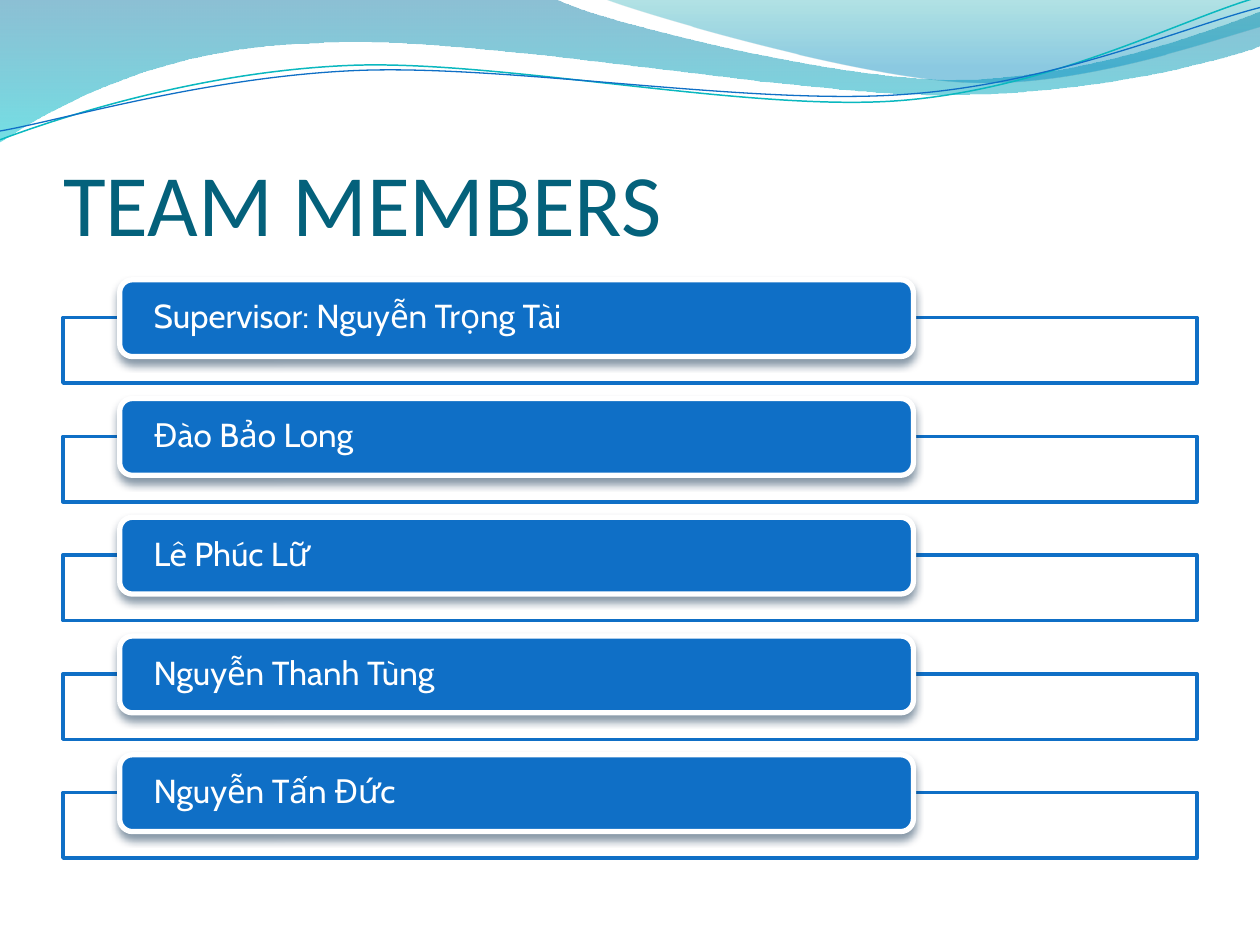
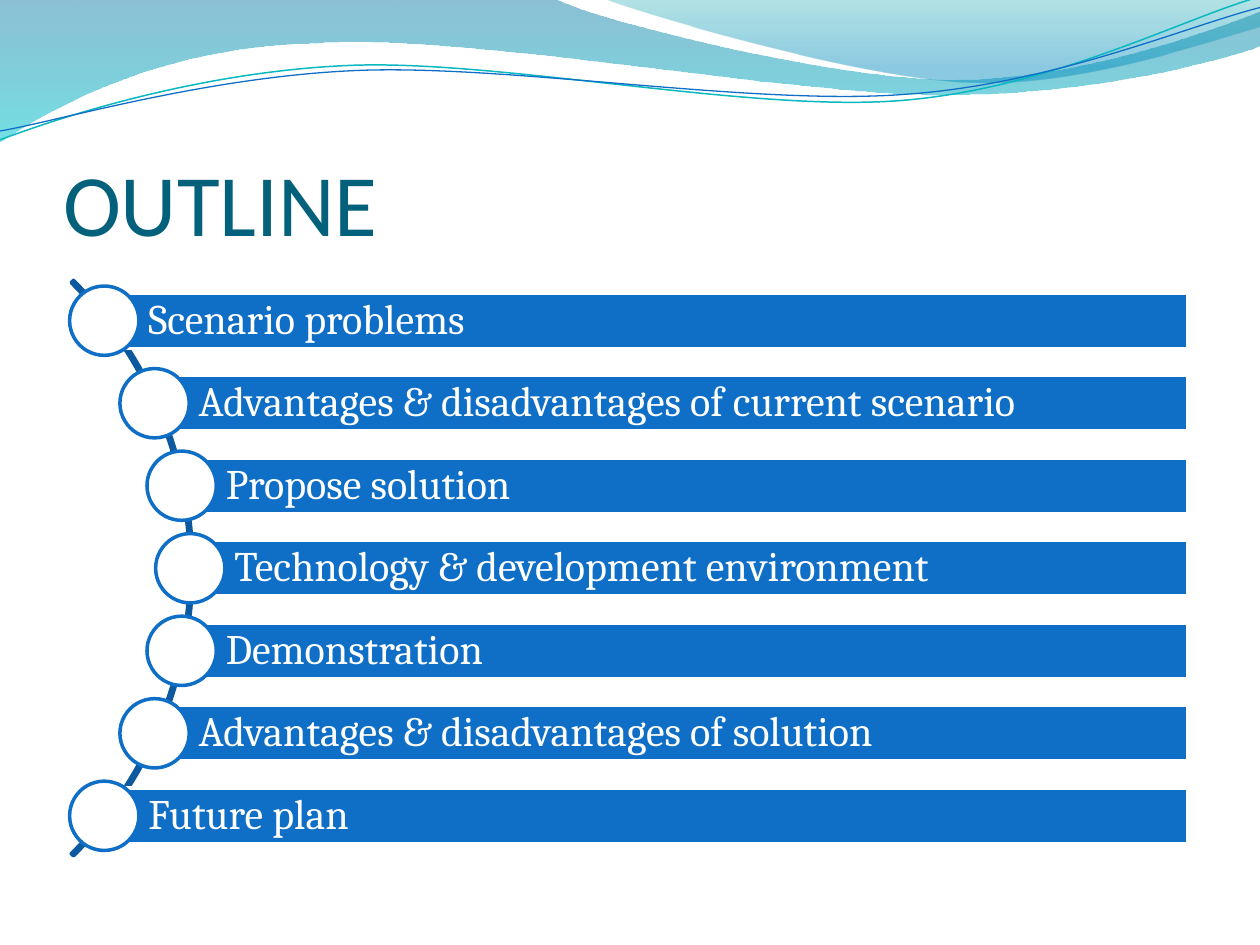
"""Build a team slide and an outline slide that share a wave header."""
from math import sqrt
from typing import NamedTuple

from pptx import Presentation
from pptx.dml.color import RGBColor
from pptx.enum.shapes import MSO_SHAPE as Preset
from pptx.enum.text import MSO_ANCHOR as Anchor, MSO_AUTO_SIZE as AutoSize, PP_ALIGN as Align
from pptx.oxml.ns import qn
from pptx.oxml.xmlchemy import OxmlElement
from pptx.util import Inches, Pt

COLORS = {
    "white": "FFFFFF", "blue": "0F6FC6", "arc": "0C599F", "title": "04617B",
    "shadow": "042747", "deep_blue": "0074A1", "aqua": "00C6CF",
    "teal": "00A1A9", "sky": "008BBF", "thread": "0AB8BF",
}


class Stop(NamedTuple):
    position: float
    color: str
    opacity: int


class Wave(NamedTuple):
    """A segment holds two numbers for a straight line or six for a cubic curve."""
    start: tuple
    segments: list
    stops: tuple = ()
    line: str = ""
    width: float = 0


class TextStyle(NamedTuple):
    font: str
    size: float
    color: str
    insets: tuple
    anchor: Anchor = Anchor.MIDDLE
    spacing: float = 0.9


WAVES = [
    Wave((0, 0), [
        (4.4, -0.01), (4.76, 0.17, 6.64, 0.63, 7.58, 0.63), (8.53, 0.63, 9.58, 0.26, 10, 0.09),
        (10.01, 0.36), (9.83, 0.44, 8.7, 0.76, 7.46, 0.75), (6.22, 0.75, 3.82, 0.28, 2.57, 0.34),
        (1.29, 0.36, 0.46, 0.83, -0.01, 1.13), (0, 0),
    ], stops=(Stop(0, "deep_blue", 45), Stop(1, "aqua", 55))),
    Wave((4.79, -0.01), [
        (5.09, 0.11, 6.82, 0.62, 7.69, 0.65), (8.56, 0.69, 9.61, 0.32, 10, 0.21),
        (10, 0), (4.79, -0.01),
    ], stops=(Stop(0, "teal", 30), Stop(0.8, "sky", 45))),
    Wave((0, 1.11), [
        (0.48, 0.93, 1.58, 0.57, 2.77, 0.52), (3.95, 0.47, 5.93, 0.89, 7.13, 0.8),
        (8.33, 0.71, 9.38, 0.15, 9.98, -0.02),
    ], line="thread", width=0.85),
    Wave((0, 1.04), [
        (0.47, 0.96, 1.64, 0.61, 2.83, 0.56), (4.03, 0.51, 5.97, 0.84, 7.17, 0.75),
        (8.36, 0.67, 9.41, 0.21, 10, 0.06),
    ], line="blue", width=0.75),
]

TITLE_STYLE = TextStyle("Calibri", 50, "title", (0, 0.05, 0, 0), Anchor.BOTTOM, 1.0)
MEMBER_STYLE = TextStyle("Cabin", 19, "white", (0.24, 0, 0.24, 0))
TOPIC_STYLE = TextStyle("Cambria", 24, "white", (0.35, 0.07, 0.07, 0.07))

MEMBERS = [
    "Supervisor: Nguyễn Trọng Tài", "Đào Bảo Long", "Lê Phúc Lữ",
    "Nguyễn Thanh Tùng", "Nguyễn Tấn Đức",
]
TOPICS = [
    "Scenario problems", "Advantages & disadvantages of current scenario",
    "Propose solution", "Technology & development environment", "Demonstration",
    "Advantages & disadvantages of solution", "Future plan",
]


def rgb(name: str) -> RGBColor:
    """Look up a named colour."""
    return RGBColor.from_string(COLORS[name])


def set_opacity(element, percent: int) -> None:
    """Make the first colour inside an element partly transparent."""
    alpha = OxmlElement("a:alpha")
    alpha.set("val", str(percent * 1000))
    next(element.iter(qn("a:srgbClr"))).append(alpha)


def style_shape(shape, fill: str = "", line: str = "", width: float = 0) -> None:
    """Set plain fill and line, and remove the theme shadow."""
    shape.shadow.inherit = False
    if fill:
        shape.fill.solid()
        shape.fill.fore_color.rgb = rgb(fill)
    else:
        shape.fill.background()
    if line:
        shape.line.color.rgb = rgb(line)
        shape.line.width = Pt(width)
    else:
        shape.line.fill.background()


def bend_segments(shape, segments: list) -> None:
    """Turn the straight steps of a freeform into cubic curves where asked."""
    steps = list(shape._element.iter(qn("a:lnTo")))
    for step, segment in zip(steps, segments):
        if len(segment) == 2:
            continue
        curve = OxmlElement("a:cubicBezTo")
        for x, y in zip(segment[::2], segment[1::2]):
            point = OxmlElement("a:pt")
            point.set("x", str(Inches(x) - shape.left))
            point.set("y", str(Inches(y) - shape.top))
            curve.append(point)
        step.getparent().replace(step, curve)


def add_wave(slide, wave: Wave):
    """Draw one wave as a gradient band or an open line."""
    start, *ends = [
        tuple(map(Inches, segment[-2:])) for segment in (wave.start, *wave.segments)
    ]
    builder = slide.shapes.build_freeform(*start, scale=1.0)
    builder.add_line_segments(ends, close=bool(wave.stops))
    shape = builder.convert_to_shape()
    bend_segments(shape, wave.segments)
    style_shape(shape, line=wave.line, width=wave.width)
    if wave.stops:
        shape.fill.gradient()
        shape.fill.gradient_angle = 270
        for target, stop in zip(shape.fill.gradient_stops, wave.stops):
            target.position = stop.position
            target.color.rgb = rgb(stop.color)
            set_opacity(target._gs, stop.opacity)
    return shape


def add_header(slide) -> None:
    """Draw the waves and hand them to the layout that all slides share."""
    layout_tree = slide.slide_layout.shapes._spTree
    for index, wave in enumerate(WAVES):
        layout_tree.insert(2 + index, add_wave(slide, wave)._element)


def write_text(shape, text: str, style: TextStyle) -> None:
    """Put one left-aligned run into a shape."""
    frame = shape.text_frame
    frame.word_wrap = True
    frame.auto_size = AutoSize.NONE
    frame.vertical_anchor = style.anchor
    (frame.margin_left, frame.margin_top,
     frame.margin_right, frame.margin_bottom) = map(Inches, style.insets)
    paragraph = frame.paragraphs[0]
    paragraph.alignment = Align.LEFT
    paragraph.line_spacing = style.spacing
    run = paragraph.add_run()
    run.text = text
    run.font.name = style.font
    run.font.size = Pt(style.size)
    run.font.color.rgb = rgb(style.color)


def add_box(slide, preset: Preset, box: tuple, fill: str, line: str, width: float = 2):
    """Add a preset shape at left, top, width, height in inches."""
    shape = slide.shapes.add_shape(preset, *map(Inches, box))
    style_shape(shape, fill, line, width)
    return shape


def add_drop_shadow(shape) -> None:
    """Give a shape a soft shadow straight below it."""
    shadow = OxmlElement("a:outerShdw")
    for key, value in (("blurRad", Pt(4.5)), ("dist", Pt(3)), ("dir", 90 * 60000), ("rotWithShape", 0)):
        shadow.set(key, str(value))
    color = OxmlElement("a:srgbClr")
    color.set("val", COLORS["shadow"])
    shadow.append(color)
    set_opacity(shadow, 48)
    shape._element.spPr.find(qn("a:effectLst")).append(shadow)


def add_title_slide(presentation, title: str):
    """Add a title-only slide with the title in place."""
    slide = presentation.slides.add_slide(presentation.slide_layouts[5])
    placeholder = slide.shapes.title
    placeholder.left, placeholder.top = Inches(0.5), Inches(0.77)
    placeholder.width, placeholder.height = Inches(9), Inches(1.25)
    write_text(placeholder, title, TITLE_STYLE)
    return slide


def add_members(slide) -> None:
    """Stack one frame and name plate per member."""
    step = 3.77 / (len(MEMBERS) - 1)
    for index, member in enumerate(MEMBERS):
        top = 2.22 + step * index
        frame = add_box(slide, Preset.RECTANGLE, (0.5, top + 0.3, 9, 0.52), "white", "blue")
        set_opacity(frame._element.spPr, 90)
        plate = add_box(slide, Preset.ROUNDED_RECTANGLE, (0.95, top, 6.3, 0.61), "blue", "white", 3)
        add_drop_shadow(plate)
        write_text(plate, member, MEMBER_STYLE)


def add_topics(slide) -> None:
    """Line the topics up along an arc, each with a round bullet."""
    arc = add_box(slide, Preset.BLOCK_ARC, (-4.93, 1.28, 6.46, 6.46), "", "arc")
    for index, value in enumerate((189, 27, 0.004)):
        arc.adjustments[index] = value
    middle, radius, right, bar_height, bullet = 4.51, 3.17, 9.43, 0.44, 0.55
    step = 3.93 / (len(TOPICS) - 1)
    for index, topic in enumerate(TOPICS):
        offset = (index - len(TOPICS) // 2) * step
        left = 1.51 - radius + sqrt(radius**2 - offset**2)
        center = middle + offset
        bar = add_box(slide, Preset.RECTANGLE,
                      (left, center - bar_height / 2, right - left, bar_height), "blue", "white")
        write_text(bar, topic, TOPIC_STYLE)
        add_box(slide, Preset.OVAL,
                (left - bullet / 2, center - bullet / 2, bullet, bullet), "white", "blue")


def main() -> None:
    """Build and save the presentation."""
    presentation = Presentation()
    presentation.slide_width, presentation.slide_height = Inches(10), Inches(7.5)
    team_slide = add_title_slide(presentation, "TEAM MEMBERS")
    add_header(team_slide)
    add_members(team_slide)
    add_topics(add_title_slide(presentation, "OUTLINE"))
    presentation.save("out.pptx")


if __name__ == "__main__":
    main()
